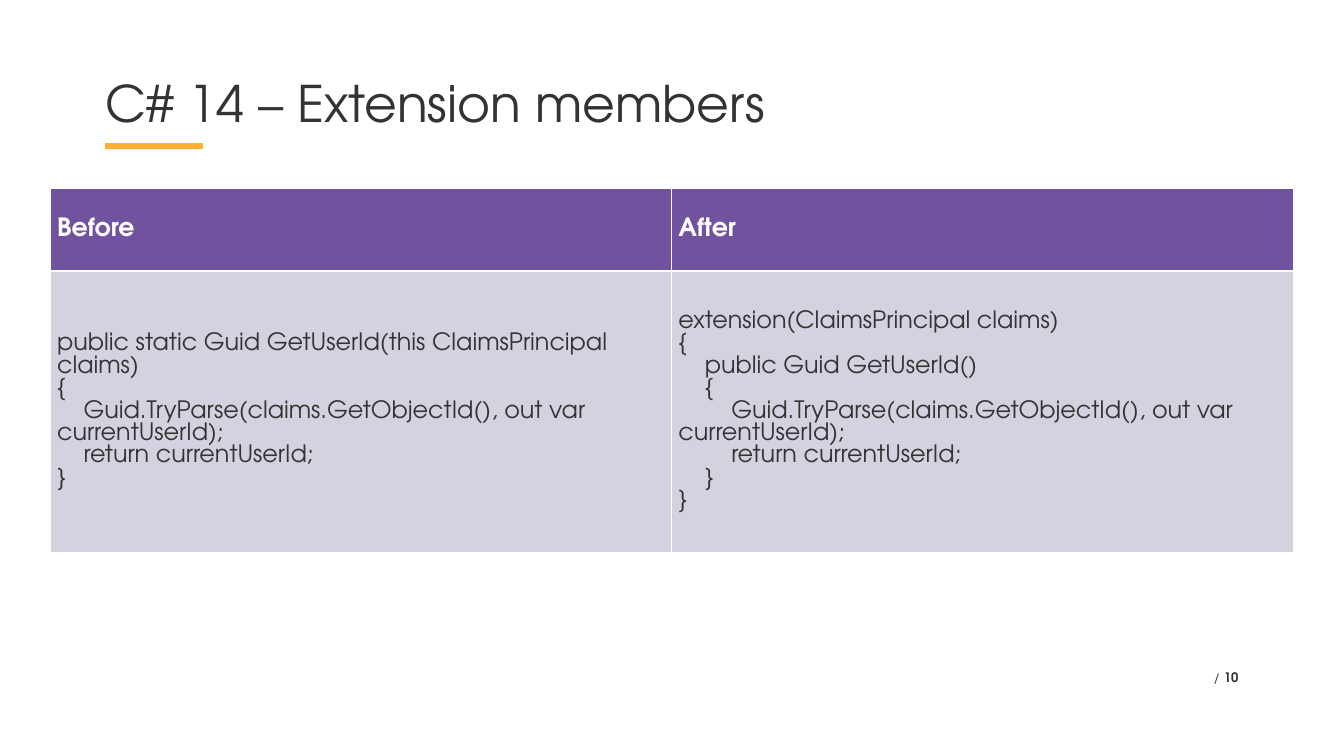
from pptx import Presentation
from pptx import util as u
from pptx.dml.color import RGBColor
from pptx.enum import shapes, text
from pptx.oxml import parse_xml
from pptx.oxml.ns import nsdecls

COLORS = {
    "ink": "333332",
    "accent": "FFB133",
    "header": "70529F",
    "body": "D5D1DF",
    "white": "FFFFFF",
}

BEFORE = """public static Guid GetUserId(this ClaimsPrincipal claims)
{
    Guid.TryParse(claims.GetObjectId(), out var currentUserId);
    return currentUserId;
}"""

AFTER = """extension(ClaimsPrincipal claims)
{
    public Guid GetUserId()
    {
        Guid.TryParse(claims.GetObjectId(), out var currentUserId);
        return currentUserId;
    }
}"""


class SlideBuilder:
    """Holds the deck style and the current slide, and adds elements to it."""

    font = "TeX Gyre Adventor"

    def __init__(self, slide):
        self.slide = slide

    def apply(self, target, values):
        for name, value in values.items():
            setattr(target, name, value)

    def run(self, paragraph, content, size, color="ink", bold=False):
        run = paragraph.add_run()
        run.text = content
        self.apply(run.font, {"name": self.font, "size": u.Pt(size), "bold": bold})
        run.font.color.rgb = RGBColor.from_string(COLORS[color])

    def text(self, box, runs, size, **paragraph_format):
        shape = self.slide.shapes.add_textbox(*map(u.Inches, box))
        frame = shape.text_frame
        margins = dict.fromkeys(
            ("margin_left", "margin_top", "margin_right", "margin_bottom"), 0)
        self.apply(frame, {"word_wrap": True, **margins})
        paragraph = frame.paragraphs[0]
        self.apply(paragraph, paragraph_format)
        for content, bold in runs:
            self.run(paragraph, content, size, bold=bold)

    def line(self, start, end, color, width):
        connector = self.slide.shapes.add_connector(
            shapes.MSO_CONNECTOR.STRAIGHT, *map(u.Inches, start + end))
        connector.line.color.rgb = RGBColor.from_string(COLORS[color])
        connector.line.width = u.Pt(width)
        connector._element.spPr.append(parse_xml(f"<a:effectLst {nsdecls('a')}/>"))

    def borders(self, cell, widths):
        properties = cell._tc.get_or_add_tcPr()
        for side, width in widths.items():
            properties.append(parse_xml(
                f'<a:ln{side} {nsdecls("a")} w="{u.Pt(width)}"><a:solidFill>'
                f'<a:srgbClr val="{COLORS["white"]}"/></a:solidFill></a:ln{side}>'))

    def cell(self, cell, content, fill, widths, spacing=None, **style):
        self.borders(cell, widths)
        cell.fill.solid()
        cell.fill.fore_color.rgb = RGBColor.from_string(COLORS[fill])
        cell.vertical_anchor = text.MSO_ANCHOR.MIDDLE
        frame = cell.text_frame
        for index, line in enumerate(content.split("\n")):
            paragraph = frame.add_paragraph() if index else frame.paragraphs[0]
            paragraph.line_spacing = spacing
            self.run(paragraph, line, **style)

    def table(self, box, row_heights, columns):
        frame = self.slide.shapes.add_table(
            len(row_heights), len(columns), *map(u.Inches, box))
        table = frame.table
        for row, height in zip(table.rows, row_heights):
            row.height = u.Inches(height)
        for index, (heading, code) in enumerate(columns):
            self.cell(table.cell(0, index), heading, "header",
                      {"L": 1, "R": 1, "T": 1, "B": 3},
                      size=27, color="white", bold=True)
            self.cell(table.cell(1, index), code, "body",
                      {"L": 1, "R": 1, "T": 3, "B": 1},
                      spacing=u.Pt(24), size=25.6)


def main():
    presentation = Presentation()
    presentation.slide_width = u.Inches(20)
    presentation.slide_height = u.Inches(11.25)
    slide = presentation.slides.add_slide(presentation.slide_layouts[6])
    builder = SlideBuilder(slide)
    builder.line((1.57, 2.17), (3.02, 2.17), "accent", 6)
    builder.text((1.57, 1.18, 13.03, 0.98), [("C# 14 – Extension members", False)],
                 54, line_spacing=0.9)
    builder.text((16.97, 9.96, 1.46, 0.55), [("/ ", False), ("10", True)],
                 14, alignment=text.PP_ALIGN.RIGHT)
    builder.table((0.75, 2.81, 18.49, 5.41), (1.22, 4.19),
                  [("Before", BEFORE), ("After", AFTER)])
    presentation.save("out.pptx")


if __name__ == "__main__":
    main()
